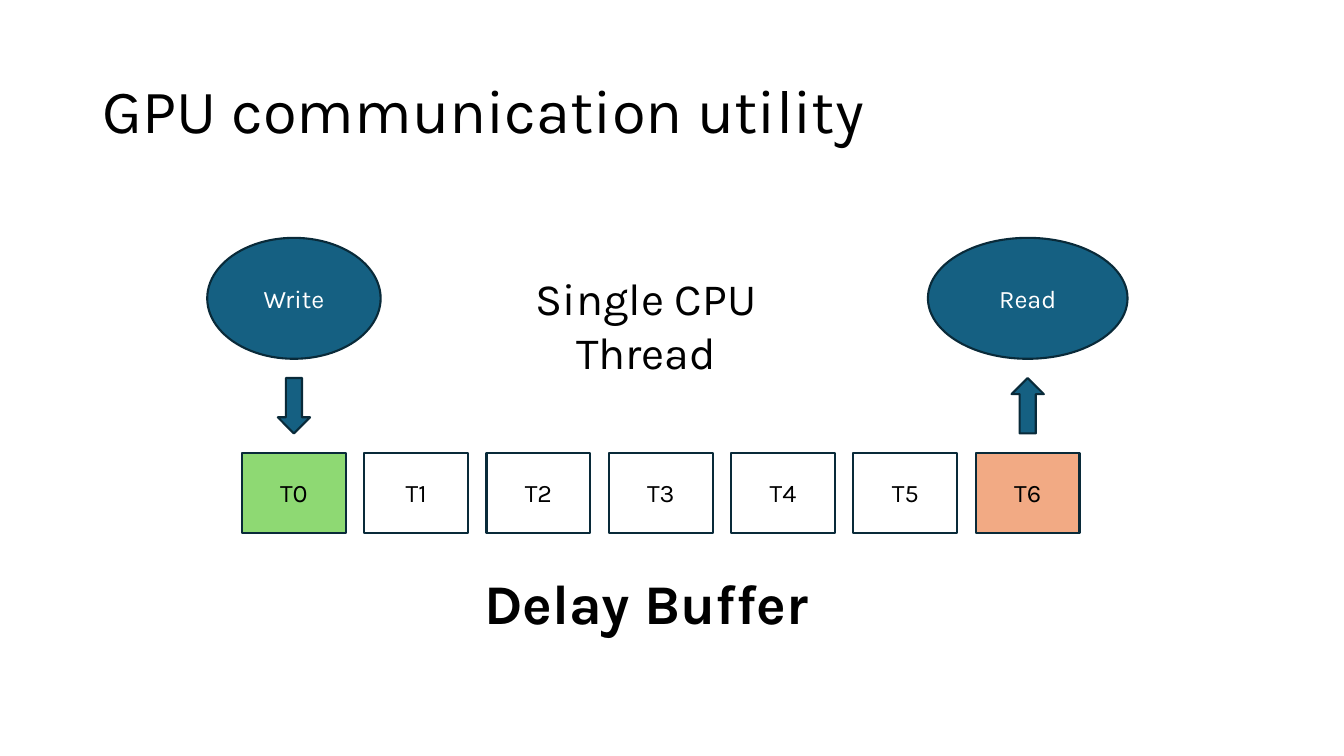
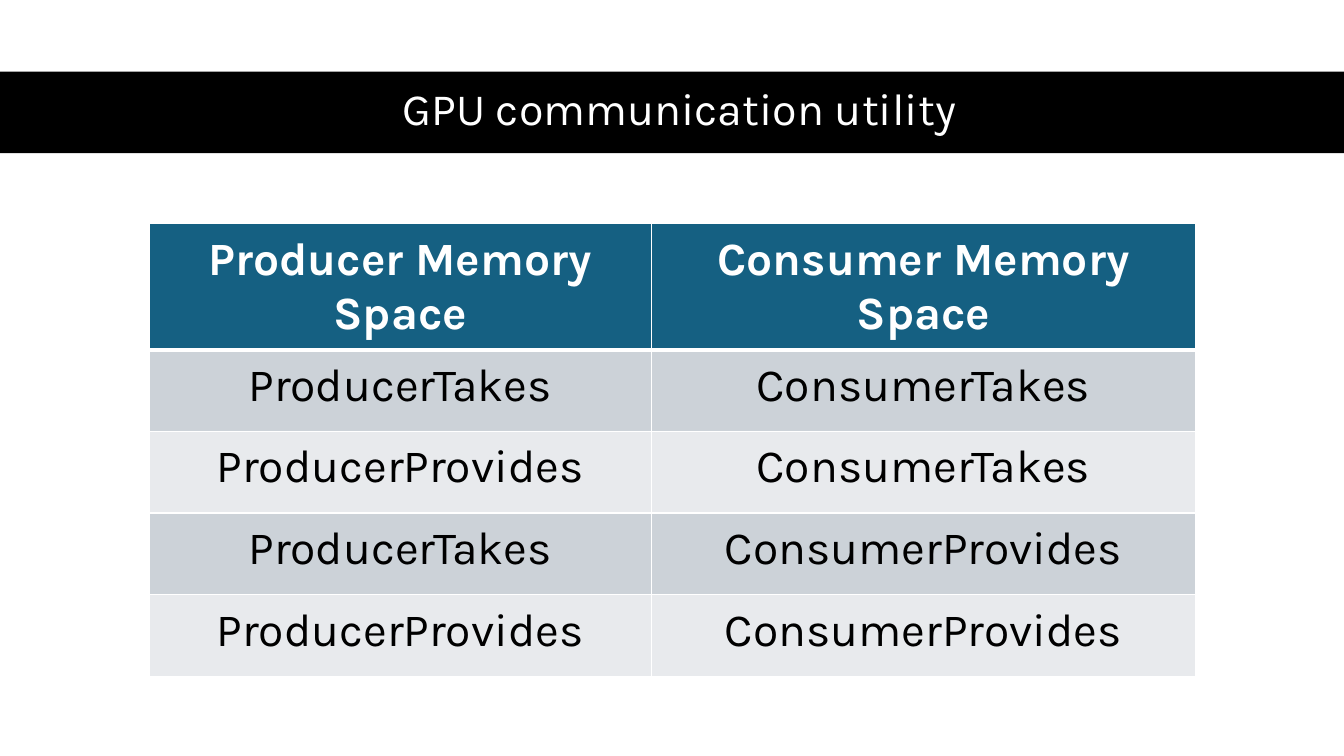
import pptx
import pptx.dml.color
import pptx.enum.shapes
import pptx.enum.text
import pptx.oxml
import pptx.oxml.ns
import pptx.util

Inches = pptx.util.Inches
Pt = pptx.util.Pt
SHAPES = pptx.enum.shapes.MSO_SHAPE
ALIGN = pptx.enum.text.PP_ALIGN
ANCHOR = pptx.enum.text.MSO_ANCHOR
AUTOSIZE = pptx.enum.text.MSO_AUTO_SIZE

FONT = "Karla"
TITLE = "GPU communication utility"
COLORS = {
    "black": "000000",
    "white": "FFFFFF",
    "teal": "156082",
    "outline": "092A39",
    "write": "8ED973",
    "read": "F2AA84",
    "row_dark": "CCD2D8",
    "row_light": "E8EAED",
}


def rgb(name):
    return pptx.dml.color.RGBColor.from_string(COLORS[name])


def style_text(frame, text, size, color, align=ALIGN.CENTER, bold=False):
    frame.text = text
    paragraph = frame.paragraphs[0]
    paragraph.alignment = align
    font = paragraph.font
    font.name, font.size, font.bold = FONT, Pt(size), bold
    font.color.rgb = rgb(color)
    return paragraph


def add_titled_slide(prs, box, size, color, align):
    slide = prs.slides.add_slide(prs.slide_layouts[5])
    title = slide.shapes.title
    title.left, title.top, title.width, title.height = map(Inches, box)
    frame = title.text_frame
    frame.auto_size = AUTOSIZE.NONE
    frame.vertical_anchor = ANCHOR.MIDDLE
    style_text(frame, TITLE, size, color, align).line_spacing = 0.9
    return slide


def add_block(slide, kind, box, fill, text="", color="black", outline="outline"):
    block = slide.shapes.add_shape(kind, *map(Inches, box))
    block.shadow.inherit = False
    block.fill.solid()
    block.fill.fore_color.rgb = rgb(fill)
    if outline:
        block.line.color.rgb = rgb(outline)
        block.line.width = Pt(1.5)
    else:
        block.line.fill.background()
    if text:
        block.text_frame.vertical_anchor = ANCHOR.MIDDLE
        style_text(block.text_frame, text, 18, color)
    return block


def add_label(slide, box, text, size, bold=False):
    frame = slide.shapes.add_textbox(*map(Inches, box)).text_frame
    frame.word_wrap = True
    style_text(frame, text, size, "black", bold=bold)


def set_borders(cell, widths):
    """Draw white borders; widths maps an edge letter to points."""
    properties = cell._tc.get_or_add_tcPr()
    for edge, width in widths.items():
        properties.append(pptx.oxml.parse_xml(
            f'<a:ln{edge} {pptx.oxml.ns.nsdecls("a")} w="{Pt(width)}"><a:solidFill>'
            f'<a:srgbClr val="{COLORS["white"]}"/></a:solidFill></a:ln{edge}>'))


def add_memory_table(slide, rows, left, top, col_widths, row_heights):
    table = slide.shapes.add_table(
        len(rows), len(col_widths), Inches(left), Inches(top),
        Inches(sum(col_widths)), Inches(sum(row_heights))).table
    table.first_row = table.horz_banding = False
    for column, width in zip(table.columns, col_widths):
        column.width = Inches(width)
    for r, (texts, height) in enumerate(zip(rows, row_heights)):
        table.rows[r].height = Inches(height)
        header = r == 0
        fill = "teal" if header else ("row_light", "row_dark")[r % 2]
        for c, text in enumerate(texts):
            cell = table.cell(r, c)
            set_borders(cell, {"L": 1, "R": 1, "T": 3 if r == 1 else 1,
                               "B": 3 if header else 1})
            cell.fill.solid()
            cell.fill.fore_color.rgb = rgb(fill)
            cell.margin_left = cell.margin_right = Inches(0.18)
            cell.margin_top = cell.margin_bottom = Inches(0.09)
            style_text(cell.text_frame, text, 33,
                       "white" if header else "black", bold=header)


def build_buffer_slide(prs):
    slide = add_titled_slide(prs, (0.92, 0.4, 11.5, 1.45), 44, "black", ALIGN.LEFT)

    # Buffer slots
    slots, first_left, pitch, slot_width = 7, 2.4, 1.213, 1.03
    slot_fills = {0: "write", slots - 1: "read"}
    for i in range(slots):
        add_block(slide, SHAPES.RECTANGLE,
                  (first_left + i * pitch, 4.49, slot_width, 0.8),
                  slot_fills.get(i, "white"), f"T{i}")

    # Operations, each centred over its slot
    arrow_width = 0.32
    for name, slot, width, arrow in (("Write", 0, 1.72, SHAPES.DOWN_ARROW),
                                     ("Read", slots - 1, 1.98, SHAPES.UP_ARROW)):
        center = first_left + slot * pitch + slot_width / 2
        add_block(slide, SHAPES.OVAL, (center - width / 2, 2.36, width, 1.2),
                  "teal", name, "white")
        add_block(slide, arrow,
                  (center - arrow_width / 2, 3.75, arrow_width, 0.55), "teal")

    # Captions
    add_label(slide, (4.53, 5.59, 3.76, 0.77), "Delay Buffer", 40, bold=True)
    add_label(slide, (4.53, 2.64, 3.76, 0.64), "Single CPU Thread", 32)


def build_memory_slide(prs):
    slide = add_titled_slide(prs, (0.61, 0.7, 12.26, 0.81), 32, "white", ALIGN.CENTER)

    # Band behind the title
    band = add_block(slide, SHAPES.RECTANGLE, (0, 0.71, 13.33, 0.81), "black",
                     outline=None)
    slide.shapes.title._element.addprevious(band._element)

    # Memory space combinations
    rows = [("Producer Memory Space", "Consumer Memory Space")]
    rows += [(f"Producer{producer}", f"Consumer{consumer}")
             for consumer in ("Takes", "Provides")
             for producer in ("Takes", "Provides")]
    add_memory_table(slide, rows, 1.48, 2.22, (4.98, 5.4), [1.25] + [0.81] * 4)


def main():
    prs = pptx.Presentation()
    prs.slide_width, prs.slide_height = Inches(13.33), Inches(7.5)
    build_buffer_slide(prs)
    build_memory_slide(prs)
    prs.save("out.pptx")


if __name__ == "__main__":
    main()
